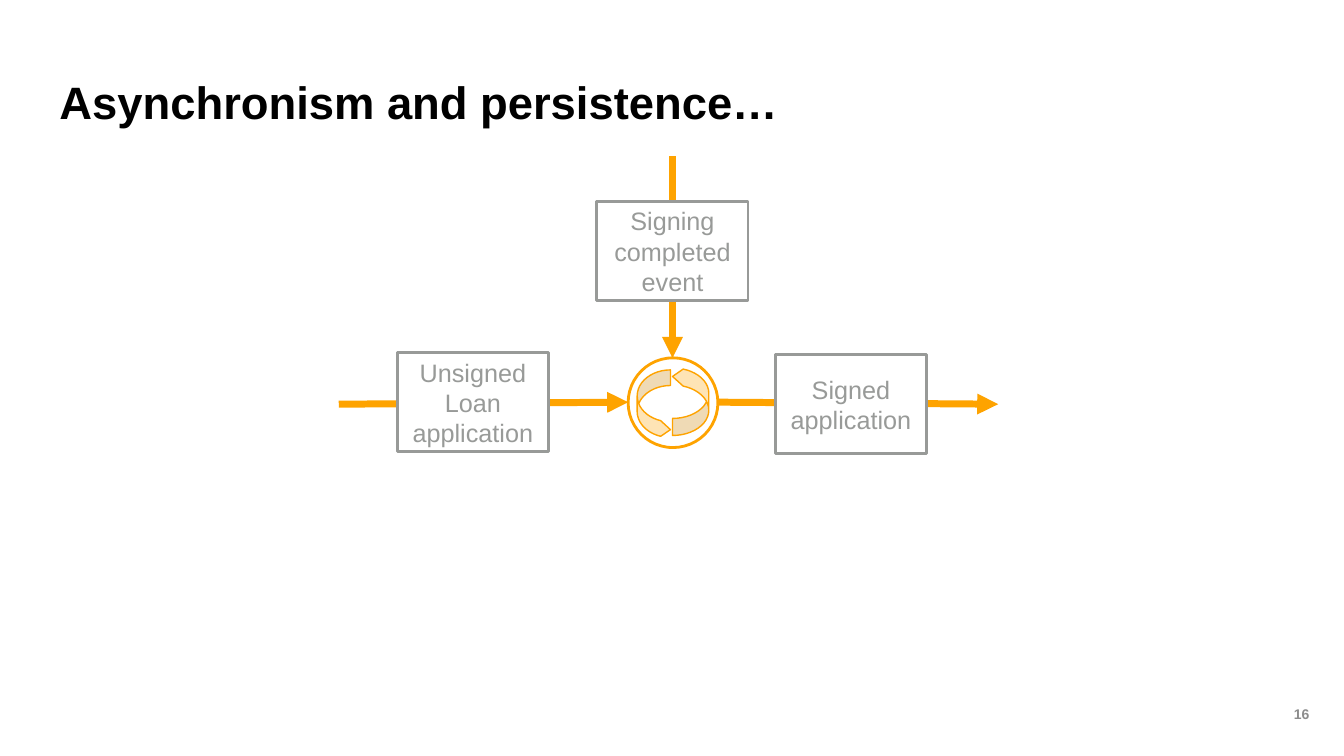
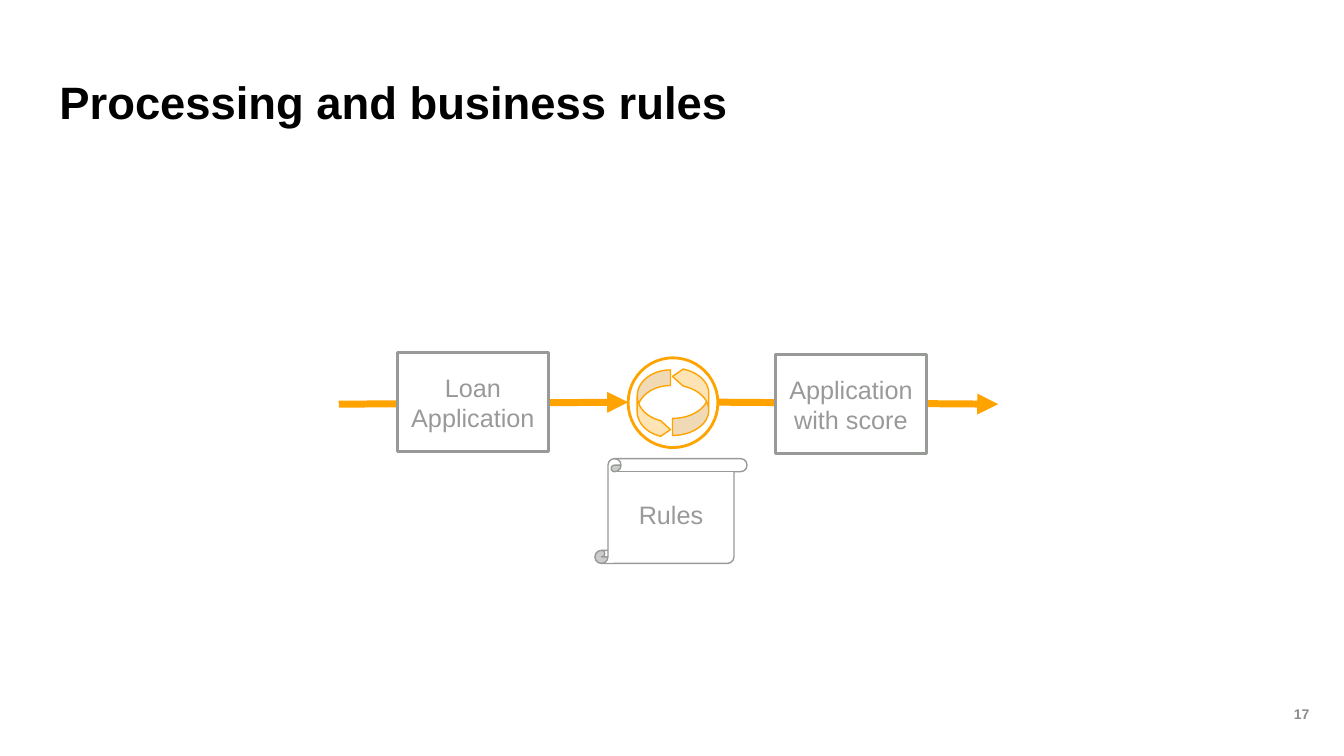
"""Build two loan process flow slides."""
from dataclasses import dataclass
from typing import Any, NamedTuple

from lxml import etree
from pptx import Presentation
from pptx import slide as sl
from pptx import util as u
from pptx.dml import color
from pptx.enum import shapes, text
from pptx.oxml import ns

Kind = shapes.MSO_SHAPE


@dataclass(frozen=True)
class Theme:
    """Hold colours, type sizes and line widths."""
    font: str = "Arial"
    black: str = "000000"
    white: str = "FFFFFF"
    gray: str = "989A98"
    pale: str = "8C8C8C"
    gold: str = "FEA300"
    head: float = 32.4
    body: float = 18
    foot: float = 10
    thin: float = 1
    edge: float = 2
    flow: float = 5
    alpha: int = 29


class Area(NamedTuple):
    """Give left, top, width and height in inches."""
    x: float
    y: float
    w: float
    h: float

    def emu(self) -> list[u.Length]:
        """Return the four lengths."""
        return [u.Inches(v) for v in self]


@dataclass(frozen=True)
class Node:
    """Describe a labelled shape."""
    label: str
    area: Area
    kind: Any = Kind.RECTANGLE
    width: float = 2


class Flow(NamedTuple):
    """Give the ends of an arrow in inches."""
    x: float
    y: float
    tox: float
    toy: float


class Swirl(NamedTuple):
    """Describe one half of the cycle icon."""
    area: Area
    turn: float


@dataclass(frozen=True)
class Page:
    """Describe one slide."""
    num: int
    title: str
    nodes: tuple[Node, ...]
    feeds: tuple[Flow, ...] = ()


LOOK = Theme()
SIZE = (13.33, 7.5)
TITLE = Area(0.59, 0.7, 11.9, 0.63)
FOOT = Area(12.49, 6.66, 0.84, 0.84)
RING = Area(6.23, 3.55, 0.89, 0.89)
SWIRLS = (Swirl(Area(6.32, 3.67, 0.33, 0.67), 0),
          Swirl(Area(6.67, 3.65, 0.36, 0.67), 180))
BEND = (0.47, 0.47, 0.294)
FLOWS = (Flow(7.12, 3.99, 9.9, 4.01), Flow(3.36, 4.01, 6.23, 3.99))
FEED = Flow(6.67, 1.55, 6.67, 3.55)
BOX = (1.5, 0.98)
LEFT = Area(3.94, 3.5, *BOX)
ABOVE = Area(5.92, 2, *BOX)
RIGHT = Area(7.69, 3.52, *BOX)
BELOW = Area(5.9, 4.55, 1.51, 1.04)

PAGES = (
    Page(16, "Asynchronism and persistence…",
         (Node("Unsigned Loan application", LEFT),
          Node("Signing completed event", ABOVE),
          Node("Signed application", RIGHT)),
         (FEED,)),
    Page(17, "Processing and business rules",
         (Node("Loan Application", LEFT),
          Node("Application with score", RIGHT),
          Node("Rules", BELOW, Kind.VERTICAL_SCROLL, LOOK.thin))),
)


def style(item: Any, form: dict[str, Any]) -> None:
    """Set each format value on an object."""
    for name, value in form.items():
        setattr(item, name, value)


def rgb(code: str) -> color.RGBColor:
    """Turn a hex code into a colour."""
    return color.RGBColor.from_string(code)


def stroke(item: Any, code: str, width: float) -> None:
    """Colour and size a line."""
    item.line.color.rgb = rgb(code)
    item.line.width = u.Pt(width)


def write(item: Any, words: str, size: float, code: str, bold: bool = False,
          align: Any = text.PP_ALIGN.CENTER,
          anchor: Any = text.MSO_ANCHOR.MIDDLE) -> Any:
    """Write one styled paragraph and return its frame."""
    frame = item.text_frame
    style(frame, {"word_wrap": True, "vertical_anchor": anchor, "text": words})
    para = frame.paragraphs[0]
    para.alignment = align
    font = para.runs[0].font
    style(font, {"name": LOOK.font, "size": u.Pt(size), "bold": bold})
    font.color.rgb = rgb(code)
    return frame


def shape(slide: sl.Slide, kind: Any, area: Area, code: str,
          width: float, fill: str = "") -> Any:
    """Add a preset shape without shadow."""
    item = slide.shapes.add_shape(kind, *area.emu())
    item.shadow.inherit = False
    stroke(item, code, width)
    if fill:
        item.fill.solid()
        item.fill.fore_color.rgb = rgb(fill)
    else:
        item.fill.background()
    return item


def swirl(slide: sl.Slide, part: Swirl) -> None:
    """Add a see-through curved arrow."""
    item = shape(slide, Kind.CURVED_RIGHT_ARROW, part.area,
                 LOOK.gold, LOOK.thin, LOOK.gold)
    item.rotation = part.turn
    for i, value in enumerate(BEND):
        item.adjustments[i] = value
    tint = item.element.spPr.find(ns.qn("a:solidFill"))[0]
    etree.SubElement(tint, ns.qn("a:alpha"), val=str(LOOK.alpha * 1000))


def arrow(slide: sl.Slide, flow: Flow) -> None:
    """Add a straight arrow."""
    ends = [u.Inches(v) for v in flow]
    item = slide.shapes.add_connector(shapes.MSO_CONNECTOR.STRAIGHT, *ends)
    stroke(item, LOOK.gold, LOOK.flow)
    props = item.element.spPr
    line = props.find(ns.qn("a:ln"))
    etree.SubElement(line, ns.qn("a:tailEnd"), type="triangle")
    etree.SubElement(props, ns.qn("a:effectLst"))


def node(slide: sl.Slide, part: Node) -> None:
    """Add a labelled shape."""
    item = shape(slide, part.kind, part.area, LOOK.gray,
                 part.width, LOOK.white)
    write(item, part.label, LOOK.body, LOOK.gray)


def frame(slide: sl.Slide, page: Page) -> None:
    """Add the slide number and the title."""
    foot = slide.shapes.add_textbox(*FOOT.emu())
    write(foot, str(page.num), LOOK.foot, LOOK.pale, True)
    head = slide.shapes.add_textbox(*TITLE.emu())
    body = write(head, page.title, LOOK.head, LOOK.black, True,
                 text.PP_ALIGN.LEFT, text.MSO_ANCHOR.BOTTOM)
    body.margin_left = u.Inches(0)
    body.paragraphs[0].line_spacing = 0.9


def draw(slide: sl.Slide, page: Page) -> None:
    """Draw one whole slide."""
    frame(slide, page)
    for part in SWIRLS:
        swirl(slide, part)
    shape(slide, Kind.OVAL, RING, LOOK.gold, LOOK.edge)
    for flow in FLOWS + page.feeds:
        arrow(slide, flow)
    for part in page.nodes:
        node(slide, part)


def main() -> None:
    """Build and save the deck."""
    deck = Presentation()
    wide, high = SIZE
    style(deck, {"slide_width": u.Inches(wide), "slide_height": u.Inches(high)})
    for page in PAGES:
        draw(deck.slides.add_slide(deck.slide_layouts[6]), page)
    deck.save("out.pptx")


if __name__ == "__main__":
    main()
